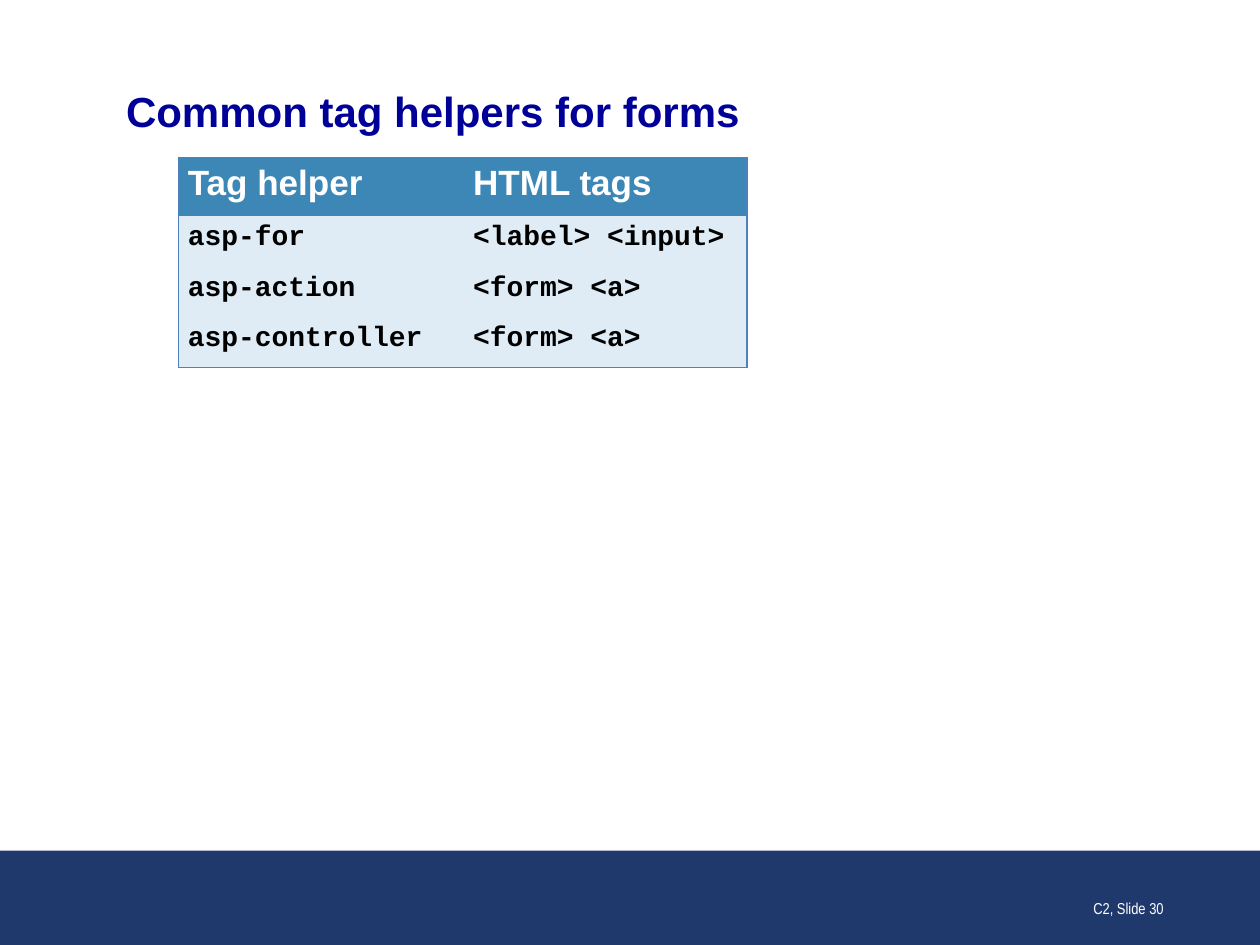
from dataclasses import dataclass

from lxml import etree
from pptx import Presentation
from pptx.dml.color import RGBColor
from pptx.enum import shapes, text
from pptx.oxml import ns
from pptx.util import Pt


@dataclass(frozen=True)
class Theme:
    """Colours, fonts and type sizes of the slide."""
    navy: str = "20396D"
    title: str = "000099"
    header: str = "3D87B7"
    body: str = "DFECF5"
    border: str = "4F81BD"
    white: str = "FFFFFF"
    black: str = "000000"
    sans: str = "Arial"
    narrow: str = "Arial Narrow"
    code: str = "Courier New"
    title_size: int = 24
    header_size: int = 20
    code_size: int = 16
    footer_size: int = 9


THEME = Theme()
NO_TABLE_STYLE = "{2D5ABB26-0587-4C30-8999-92F81FD0307C}"
ROWS = [
    ("Tag helper", "HTML tags"),
    ("asp-for", "<label> <input>"),
    ("asp-action", "<form> <a>"),
    ("asp-controller", "<form> <a>"),
]


def style_font(paragraph, name, size, color, bold=False):
    """Set the font of a whole paragraph."""
    font = paragraph.font
    font.name, font.size, font.bold = name, Pt(size), bold
    font.color.rgb = RGBColor.from_string(color)


def fill_solid(target, color):
    """Give a shape or cell a solid fill."""
    target.fill.solid()
    target.fill.fore_color.rgb = RGBColor.from_string(color)


def add_title(slide, left, top, width, height):
    """Place and format the title placeholder."""
    title = slide.shapes.title
    title.left, title.top, title.width, title.height = map(Pt, (left, top, width, height))
    frame = title.text_frame
    frame.text = "Common tag helpers for forms"
    frame.margin_left = frame.margin_right = frame.margin_top = frame.margin_bottom = 0
    frame.vertical_anchor = text.MSO_ANCHOR.MIDDLE
    frame.auto_size = text.MSO_AUTO_SIZE.SHAPE_TO_FIT_TEXT
    paragraph = frame.paragraphs[0]
    paragraph.alignment = text.PP_ALIGN.LEFT
    paragraph.space_before, paragraph.space_after = Pt(0), Pt(6)
    style_font(paragraph, THEME.sans, THEME.title_size, THEME.title, True)


def add_border(cell, side):
    """Draw one edge of a cell; sides are L, R, T and B, in that order."""
    properties = cell._tc.get_or_add_tcPr()
    line = etree.SubElement(properties, ns.qn(f"a:ln{side}"), w=str(Pt(1)))
    fill = etree.SubElement(line, ns.qn("a:solidFill"))
    etree.SubElement(fill, ns.qn("a:srgbClr"), val=THEME.border)


def add_tag_table(slide, left, top, column_widths, row_heights):
    """Add the table of tag helpers with an outer border."""
    box = map(Pt, (left, top, sum(column_widths), sum(row_heights)))
    table = slide.shapes.add_table(len(ROWS), len(ROWS[0]), *box).table
    table.first_row = table.horz_banding = False
    table._tbl.tblPr.find(ns.qn("a:tableStyleId")).text = NO_TABLE_STYLE
    for column, width in zip(table.columns, column_widths):
        column.width = Pt(width)
    for row, height in zip(table.rows, row_heights):
        row.height = Pt(height)
    last_row, last_column = len(ROWS) - 1, len(ROWS[0]) - 1
    for r, labels in enumerate(ROWS):
        for c, label in enumerate(labels):
            cell = table.cell(r, c)
            edges = {"L": c == 0, "R": c == last_column, "T": r == 0, "B": r == last_row}
            for side, is_outer in edges.items():
                if is_outer:
                    add_border(cell, side)
            fill_solid(cell, THEME.body if r else THEME.header)
            cell.margin_left = cell.margin_right = Pt(5.4)
            cell.margin_top = cell.margin_bottom = Pt(3.6)
            cell.text = label
            paragraph = cell.text_frame.paragraphs[0]
            paragraph.space_before = paragraph.space_after = Pt(6)
            if r:
                style_font(paragraph, THEME.code, THEME.code_size, THEME.black, True)
            else:
                style_font(paragraph, THEME.sans, THEME.header_size, THEME.white, True)


def add_footer(slide, left, top, width, height):
    """Add the footer band and its slide label."""
    band = slide.shapes.add_shape(
        shapes.MSO_SHAPE.RECTANGLE, *map(Pt, (left, top, width, height)))
    band.shadow.inherit = False
    band.line.fill.background()
    fill_solid(band, THEME.navy)
    label = slide.shapes.add_textbox(Pt(left + 522), Pt(top + 6), Pt(150), Pt(36))
    frame = label.text_frame
    frame.word_wrap = True
    frame.vertical_anchor = text.MSO_ANCHOR.BOTTOM
    frame.text = "C2, Slide 30"
    paragraph = frame.paragraphs[0]
    paragraph.alignment = text.PP_ALIGN.RIGHT
    style_font(paragraph, THEME.narrow, THEME.footer_size, THEME.white)


def main():
    """Build and save the slide."""
    presentation = Presentation()
    presentation.slide_width, presentation.slide_height = Pt(720), Pt(540)
    slide = presentation.slides.add_slide(presentation.slide_layouts[5])
    add_footer(slide, 0, 486, 720, 54)
    add_title(slide, 72, 49, 576, 29)
    add_tag_table(slide, 102, 90, [163, 162], [33.6, 28.8, 28.8, 28.8])
    presentation.save("out.pptx")


if __name__ == "__main__":
    main()
